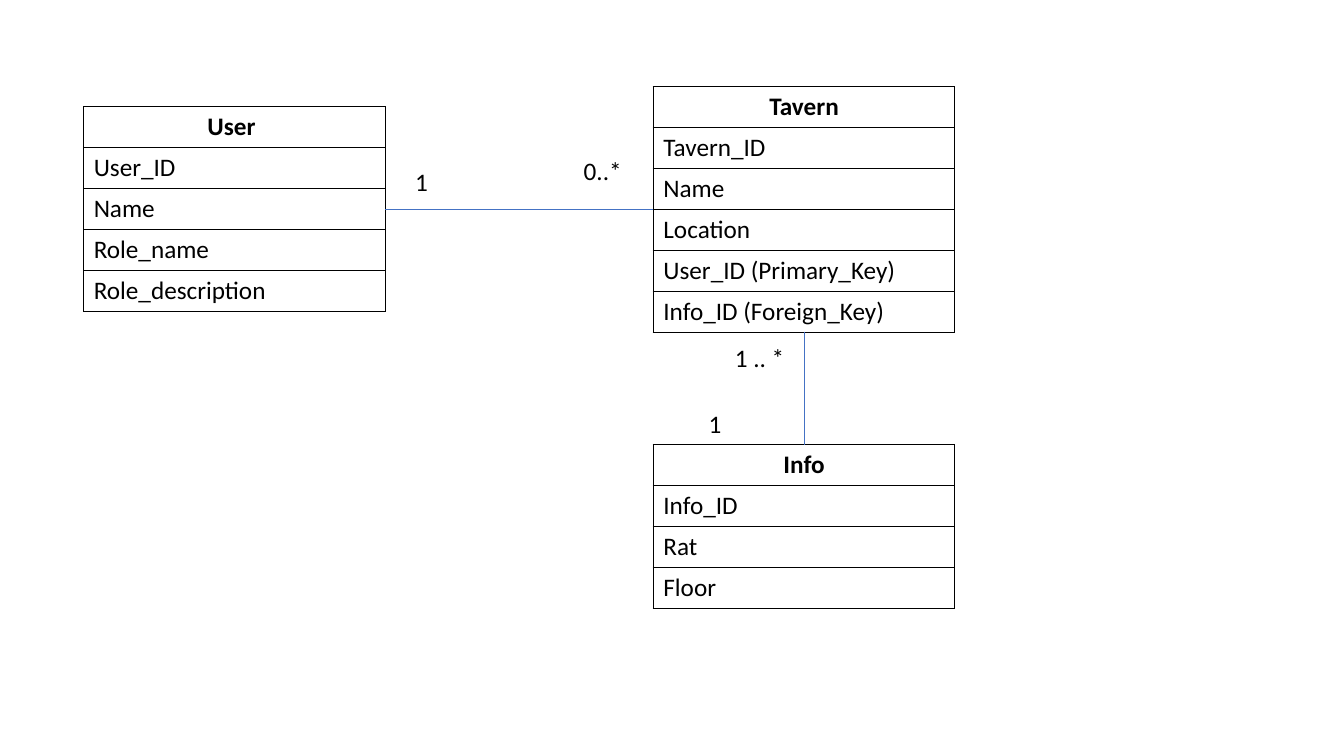
from typing import Any, NamedTuple

import pptx
import pptx.dml.color
import pptx.enum.shapes
import pptx.enum.text
import pptx.oxml
import pptx.oxml.ns
import pptx.util

Inches = pptx.util.Inches
BLACK = pptx.dml.color.RGBColor(0x00, 0x00, 0x00)
BLUE = pptx.dml.color.RGBColor(0x44, 0x72, 0xC4)
FONT = "Calibri"
WIDTH = Inches(2.99)
ROW = Inches(2.03) // 5


class Entity(NamedTuple):
    left: float
    top: float
    name: str
    fields: tuple[str, ...]


class Link(NamedTuple):
    x1: float
    y1: float
    x2: float
    y2: float


class Label(NamedTuple):
    left: float
    top: float
    width: float
    text: str


ENTITIES = (
    Entity(0.83, 1.06, "User ", ("User_ID", "Name", "Role_name ", "Role_description")),
    Entity(6.48, 0.86, "Tavern", ("Tavern_ID", "Name", "Location",
                                  "User_ID (Primary_Key)", "Info_ID (Foreign_Key)")),
    Entity(6.48, 4.41, "Info", ("Info_ID", "Rat", "Floor")),
)
LINKS = (Link(3.82, 2.08, 6.48, 2.08), Link(7.98, 3.29, 7.98, 4.41))
LABELS = (
    Label(5.69, 1.49, 1.05, "0..*"),
    Label(4.02, 1.6, 0.86, "1"),
    Label(7.19, 3.35, 1.24, "1 .. *"),
    Label(6.93, 4, 1.24, "1"),
)


def style(para: Any, bold: bool = False) -> None:
    font = para.font
    font.name, font.size, font.bold = FONT, pptx.util.Pt(18), bold
    font.color.rgb = BLACK


def border(cell: Any) -> None:
    props = cell._tc.get_or_add_tcPr()
    for index, side in enumerate(("lnL", "lnR", "lnT", "lnB")):
        edge = pptx.oxml.parse_xml(
            f'<a:{side} {pptx.oxml.ns.nsdecls("a")} w="{pptx.util.Pt(1)}">'
            f'<a:solidFill><a:srgbClr val="{BLACK}"/></a:solidFill></a:{side}>')
        props.insert(index, edge)


def draw_entity(slide: Any, item: Entity) -> None:
    lines = (item.name, *item.fields)
    table = slide.shapes.add_table(len(lines), 1, Inches(item.left), Inches(item.top),
                                   WIDTH, ROW * len(lines)).table
    table.first_row = table.horz_banding = False
    for index, text in enumerate(lines):
        cell = table.cell(index, 0)
        cell.text = text
        cell.fill.background()
        border(cell)
        para = cell.text_frame.paragraphs[0]
        style(para, bold=index == 0)
        if index == 0:
            para.alignment = pptx.enum.text.PP_ALIGN.CENTER


def draw_link(slide: Any, item: Link) -> None:
    link = slide.shapes.add_connector(pptx.enum.shapes.MSO_CONNECTOR.STRAIGHT,
                                      *(Inches(value) for value in item))
    link.line.color.rgb = BLUE
    link.line.width = pptx.util.Pt(0.5)
    link._element.spPr.append(
        pptx.oxml.parse_xml(f'<a:effectLst {pptx.oxml.ns.nsdecls("a")}/>'))


def draw_label(slide: Any, item: Label) -> None:
    box = slide.shapes.add_textbox(Inches(item.left), Inches(item.top),
                                   Inches(item.width), Inches(0.4))
    frame = box.text_frame
    frame.word_wrap = True
    frame.auto_size = pptx.enum.text.MSO_AUTO_SIZE.SHAPE_TO_FIT_TEXT
    frame.text = item.text
    style(frame.paragraphs[0])


deck = pptx.Presentation()
deck.slide_width, deck.slide_height = Inches(13.33), Inches(7.5)
page = deck.slides.add_slide(deck.slide_layouts[6])
for entity in ENTITIES:
    draw_entity(page, entity)
for link in LINKS:
    draw_link(page, link)
for label in LABELS:
    draw_label(page, label)
deck.save("out.pptx")
